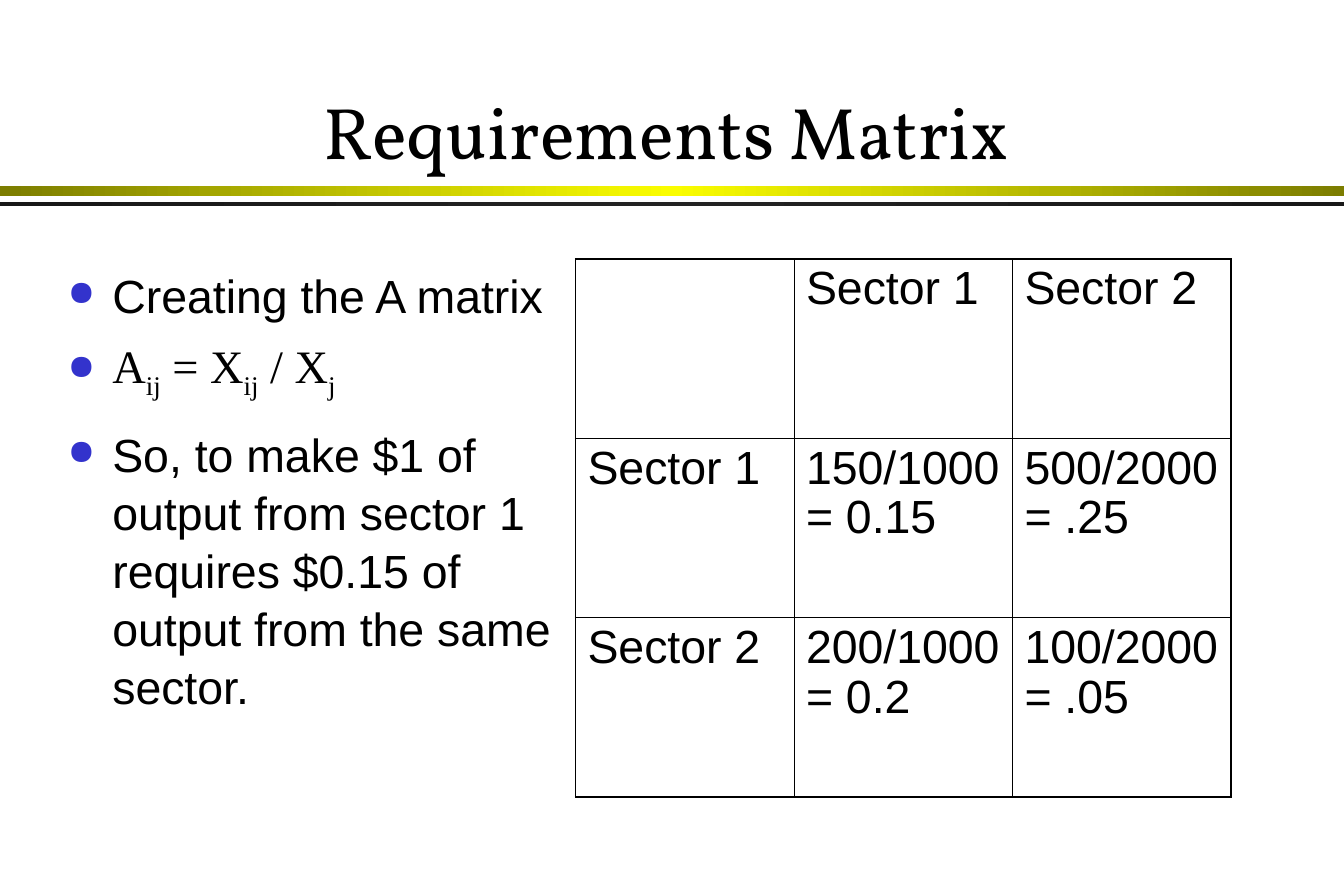
from dataclasses import dataclass

from lxml import etree
from pptx import Presentation
from pptx.dml.color import RGBColor
from pptx.enum.shapes import MSO_SHAPE
from pptx.enum.text import MSO_ANCHOR, PP_ALIGN
from pptx.oxml.ns import qn
from pptx.util import Cm, Pt

RECTANGLE = MSO_SHAPE.RECTANGLE
TOP, BOTTOM = MSO_ANCHOR.TOP, MSO_ANCHOR.BOTTOM
LEFT, CENTER = PP_ALIGN.LEFT, PP_ALIGN.CENTER

COLORS = {
    "text": "000000",
    "bullet": "3333CC",
    "olive": "7C7D00",
    "yellow": "FAFD00",
    "black": "181818",
    "charcoal": "232323",
}
SLIDE_WIDTH, SLIDE_HEIGHT = 28.58, 19.05
BULLET_INDENT = 0.95
SUBSCRIPT = -25000
OUTER_BORDER, INNER_BORDER = 1.08, 0.45


@dataclass
class Rule:
    top: float
    height: float
    edge: str
    middle: str


@dataclass
class Point:
    pieces: list[str]  # every second piece is a subscript
    font: str = "Arial"
    after: float = 0


RULES = [
    Rule(3.96, 0.2, "olive", "yellow"),
    Rule(4.29, 0.1, "black", "charcoal"),
]
POINTS = [
    Point(["Creating the A matrix"]),
    Point(["A", "ij", " = X", "ij", " / X", "j"], "Times New Roman", 7),
    Point(["So, to make $1 of output from sector 1 requires $0.15 of output "
           "from the same sector."]),
]
REQUIREMENTS = [
    ["", "Sector 1", "Sector 2"],
    ["Sector 1", "150/1000 = 0.15", "500/2000 = .25"],
    ["Sector 2", "200/1000 = 0.2", "100/2000 = .05"],
]


def add_color(parent, color: str) -> None:
    etree.SubElement(parent, qn("a:srgbClr"), val=COLORS[color])


def write(paragraph, pieces: list[str], *, font: str = "Arial", size: float = 28,
          align=LEFT, before: float = 0, after: float = 0,
          spacing: float = 1.0) -> None:
    """Fill a paragraph; every second piece is set as a subscript."""
    paragraph.alignment = align
    paragraph.space_before, paragraph.space_after = Pt(before), Pt(after)
    paragraph.line_spacing = spacing
    for index, piece in enumerate(pieces):
        run = paragraph.add_run()
        run.text = piece
        run.font.name, run.font.size = font, Pt(size)
        run.font.color.rgb = RGBColor.from_string(COLORS["text"])
        if index % 2:
            run.font._element.set("baseline", str(SUBSCRIPT))


def add_bullet(paragraph) -> None:
    properties = paragraph._p.get_or_add_pPr()
    properties.set("marL", str(Cm(BULLET_INDENT)))
    properties.set("indent", str(-Cm(BULLET_INDENT)))
    add_color(etree.SubElement(properties, qn("a:buClr")), "bullet")
    etree.SubElement(properties, qn("a:buSzPct"), val="75000")
    etree.SubElement(properties, qn("a:buChar"), char="●")


def add_rule(slide, rule: Rule) -> None:
    bar = slide.shapes.add_shape(RECTANGLE, 0, Cm(rule.top),
                                 Cm(SLIDE_WIDTH), Cm(rule.height))
    bar.shadow.inherit = False
    bar.line.fill.background()
    bar.fill.gradient()
    bar.fill.gradient_angle = 0
    stops = bar._element.spPr.find(qn("a:gradFill")).find(qn("a:gsLst"))
    for stop in list(stops):
        stops.remove(stop)
    for position, color in ((0, rule.edge), (50, rule.middle), (100, rule.edge)):
        add_color(etree.SubElement(stops, qn("a:gs"), pos=str(position * 1000)), color)


def add_text_frame(slide, left: float, top: float, width: float, height: float,
                   anchor):
    frame = slide.shapes.add_textbox(Cm(left), Cm(top), Cm(width), Cm(height)).text_frame
    frame.word_wrap = True
    frame.vertical_anchor = anchor
    return frame


def add_borders(cell, row: int, column: int, last: int) -> None:
    outer_sides = {"lnL": column == 0, "lnR": column == last,
                   "lnT": row == 0, "lnB": row == last}
    properties = cell._tc.get_or_add_tcPr()
    for side, is_outer in outer_sides.items():
        width = Pt(OUTER_BORDER if is_outer else INNER_BORDER)
        border = etree.SubElement(properties, qn(f"a:{side}"), w=str(width))
        add_color(etree.SubElement(border, qn("a:solidFill")), "text")


def add_matrix(slide, rows: list[list[str]]) -> None:
    count = len(rows)
    matrix = slide.shapes.add_table(count, count, Cm(12.24), Cm(5.51),
                                    Cm(13.94), Cm(11.43)).table
    matrix.first_row = matrix.horz_banding = False
    for row, texts in enumerate(rows):
        for column, text in enumerate(texts):
            cell = matrix.cell(row, column)
            add_borders(cell, row, column, count - 1)
            cell.fill.background()
            if text:
                write(cell.text_frame.paragraphs[0], [text], before=7, spacing=0.96)


def main() -> None:
    deck = Presentation()
    deck.slide_width, deck.slide_height = Cm(SLIDE_WIDTH), Cm(SLIDE_HEIGHT)
    slide = deck.slides.add_slide(deck.slide_layouts[6])

    # Rules under the title
    for rule in RULES:
        add_rule(slide, rule)

    # Title
    title = add_text_frame(slide, 3.28, 0.64, 21.79, 3.18, BOTTOM)
    write(title.paragraphs[0], ["Requirements Matrix"], font="Vollkorn", size=44,
          align=CENTER)

    # Explanation
    explanation = add_text_frame(slide, 1.19, 5.51, 11.02, 11.43, TOP)
    for index, point in enumerate(POINTS):
        paragraph = explanation.add_paragraph() if index else explanation.paragraphs[0]
        write(paragraph, point.pieces, font=point.font, before=7,
              after=point.after, spacing=1.04)
        add_bullet(paragraph)

    # Requirements matrix
    add_matrix(slide, REQUIREMENTS)

    deck.save("out.pptx")


if __name__ == "__main__":
    main()
